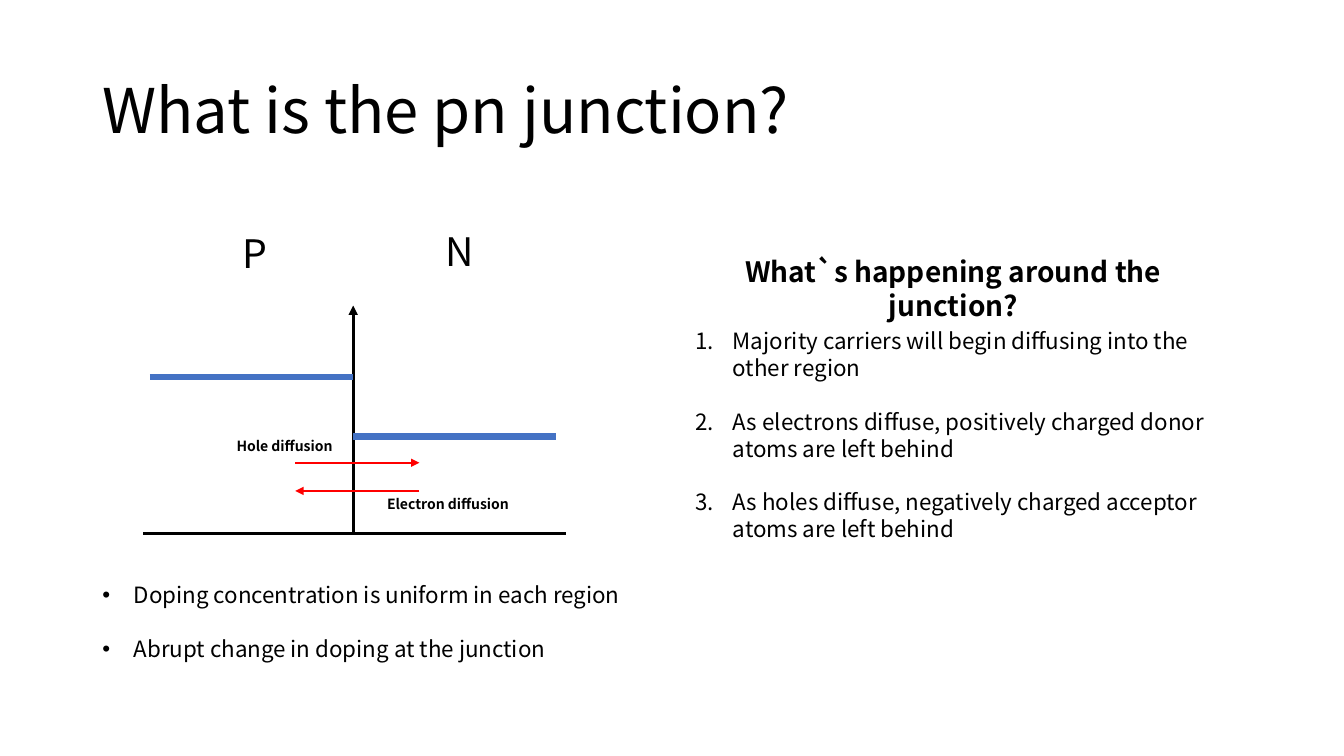
from pptx import Presentation
from pptx.util import Cm, Pt
from pptx.dml.color import RGBColor
from pptx.enum.shapes import MSO_CONNECTOR
from pptx.enum.text import MSO_ANCHOR, PP_ALIGN
from pptx.oxml.ns import qn
from lxml.etree import SubElement

BLACK = RGBColor(0x00, 0x00, 0x00)
BLUE = RGBColor(0x44, 0x72, 0xC4)
RED = RGBColor(0xFF, 0x00, 0x00)
FONT = "Noto Sans CJK KR"


def add_text(box, lines, size, bold=False, align=PP_ALIGN.LEFT, indent=0, bullet=None):
    tb = s.shapes.add_textbox(*[Cm(v) for v in box])
    tf = tb.text_frame
    tf.word_wrap = True
    for i, line in enumerate(lines):
        p = tf.paragraphs[0] if i == 0 else tf.add_paragraph()
        p.alignment = align
        if i:
            p.space_before = Pt(19)
        if bullet:
            pPr = p._p.get_or_add_pPr()
            pPr.set("marL", str(Cm(indent)))
            pPr.set("indent", str(-Cm(indent)))
            tag, attr, value = bullet
            SubElement(pPr, qn("a:buFont")).set("typeface", "Arial")
            SubElement(pPr, qn(tag)).set(attr, value)
        r = p.add_run()
        r.text = line
        r.font.name = FONT
        r.font.size = Pt(size)
        r.font.bold = bold
        r.font.color.rgb = BLACK
        rPr = r._r.get_or_add_rPr()
        SubElement(rPr, qn("a:ea")).set("typeface", FONT)
    return tf


def add_line(x1, y1, x2, y2, color, width, arrow=False):
    ln = s.shapes.add_connector(MSO_CONNECTOR.STRAIGHT, Cm(x1), Cm(y1), Cm(x2), Cm(y2))
    ln.line.color.rgb = color
    ln.line.width = Pt(width)
    if arrow:
        SubElement(ln.line._get_or_add_ln(), qn("a:tailEnd")).set("type", "triangle")
    SubElement(ln._element.spPr, qn("a:effectLst"))


prs = Presentation()
prs.slide_width = Cm(33.87)
prs.slide_height = Cm(19.05)
s = prs.slides.add_slide(prs.slide_layouts[6])

title = add_text((2.33, 1.01, 29.21, 3.68), ["What is the pn junction?"], 44)
title.vertical_anchor = MSO_ANCHOR.MIDDLE
title.paragraphs[0].line_spacing = 0.9

for region, x, y in [("P", 5.87, 5.66), ("N", 10.97, 5.61)]:
    add_text((x, y, 1.2, 1.45), [region], 28)

JUNCTION, BASE = 8.9, 13.44
add_line(3.61, BASE, 14.27, BASE, BLACK, 2.25)
add_line(JUNCTION, BASE, JUNCTION, 7.7, BLACK, 2.25, arrow=True)
add_line(3.78, 9.5, JUNCTION, 9.5, BLUE, 4.5)
add_line(JUNCTION, 11, 14.02, 11, BLUE, 4.5)

LEFT, RIGHT = 7.44, 10.57
add_line(LEFT, 11.66, RIGHT, 11.66, RED, 1.5, arrow=True)
add_line(RIGHT, 12.37, LEFT, 12.37, RED, 1.5, arrow=True)
for label, x, y in [("Hole diffusion", 5.33, 10.9), ("Electron diffusion", 9.45, 12.37)]:
    add_text((x, y, 3.68, 0.69), [label], 10, bold=True, align=PP_ALIGN.CENTER)

add_text((2.33, 14.53, 15.57, 2.31), [
    "Doping concentration is uniform in each region",
    "Abrupt change in doping at the junction",
], 16, indent=0.79, bullet=("a:buChar", "char", "•"))

add_text((16.95, 6.3, 14.15, 1.12), ["What`s happening around the junction?"], 20,
         bold=True, align=PP_ALIGN.CENTER)
add_text((17.27, 8.13, 14.15, 7.09), [
    "Majority carriers will begin diffusing into the other region",
    "As electrons diffuse, positively charged donor atoms are left behind",
    "As holes diffuse, negatively charged acceptor atoms are left behind",
], 16, indent=0.95, bullet=("a:buAutoNum", "type", "arabicPeriod"))

prs.save("out.pptx")
